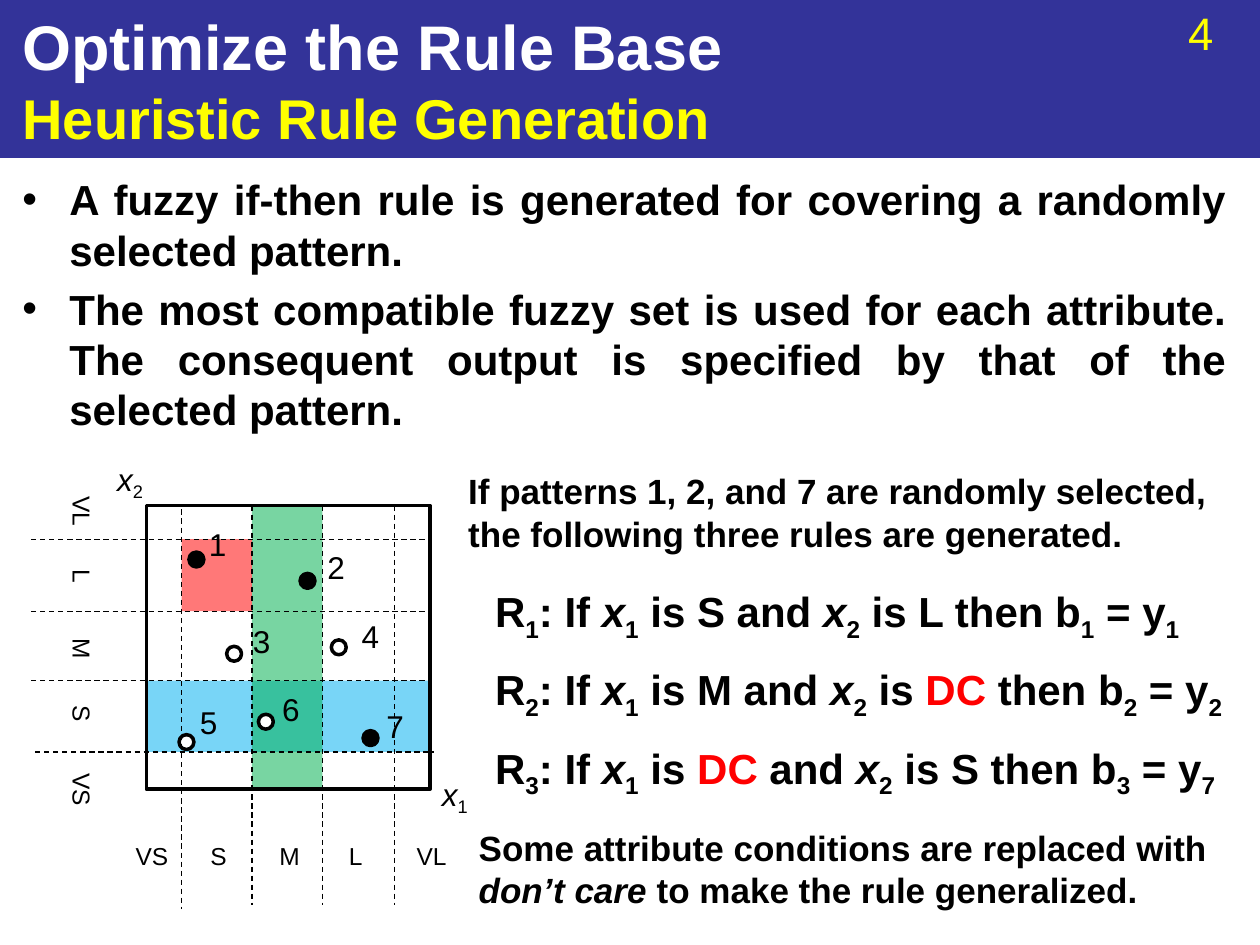
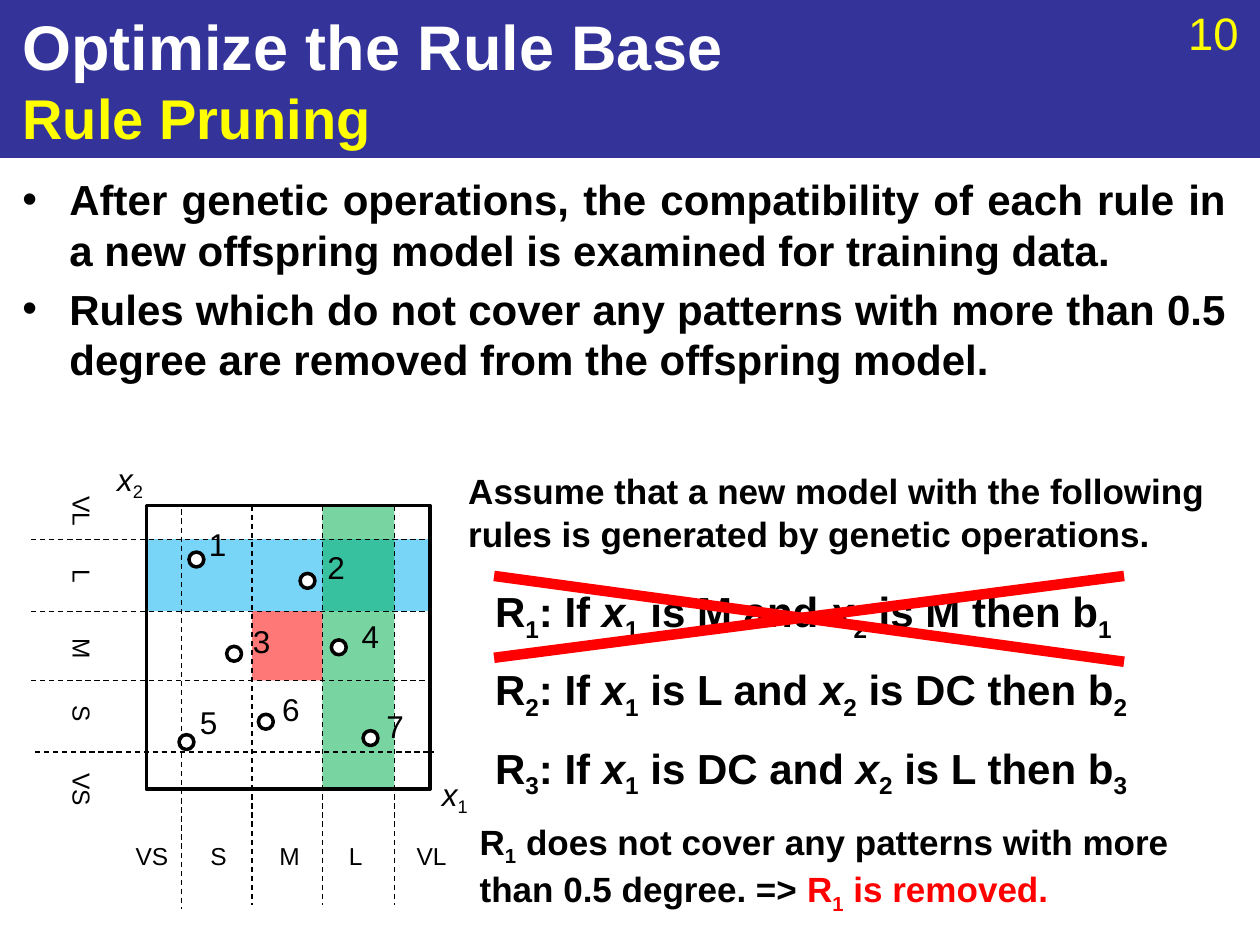
from dataclasses import dataclass
from typing import Iterator, NamedTuple

from lxml.etree import SubElement
from pptx import Presentation
from pptx.dml.color import RGBColor
from pptx.enum.dml import MSO_LINE
from pptx.enum.shapes import MSO_CONNECTOR, MSO_SHAPE
from pptx.enum.text import MSO_ANCHOR, MSO_AUTO_SIZE, PP_ALIGN
from pptx.oxml.ns import qn
from pptx.util import Cm, Pt

FONT = "Arial"
COLOURS = {
    "band": "333399", "white": "FFFFFF", "yellow": "FFFF00", "black": "000000",
    "red": "FF0000", "green": "00B050", "blue": "00B0F0",
}
# Inline marks switch a style on and off
ITALIC, SUBSCRIPT, RED = "*", "~", "|"

# Edges of the five fuzzy sets on each axis, in cm
COLUMN_EDGES = [2.95, 3.66, 5.08, 6.5, 7.95, 8.66]
ROW_EDGES = [10.19, 10.87, 12.32, 13.72, 15.16, 15.9]


class Box(NamedTuple):
    left: float
    top: float
    width: float
    height: float

    def lengths(self) -> list[Cm]:
        return [Cm(value) for value in self]


class FuzzySet(NamedTuple):
    name: str
    width: float
    column_centre: float
    row_centre: float


class Pattern(NamedTuple):
    dot_left: float
    dot_top: float
    label_left: float
    label_top: float


class Patch(NamedTuple):
    """A tinted area between numbered column and row edges."""
    colour: str
    columns: tuple[int, int]
    rows: tuple[int, int]


class Stroke(NamedTuple):
    x1: float
    y1: float
    x2: float
    y2: float


@dataclass
class RulePage:
    number: int
    subtitle: str
    bullets: list[str]
    patches: list[Patch]
    selected: set[int]
    intro: str
    rules: list[str]
    rules_width: float
    closing: str
    closing_box: Box
    strikes: list[Stroke]


FUZZY_SETS = [
    FuzzySet("VS", 1.17, 3.07, 15.93),
    FuzzySet("S", 0.84, 4.41, 14.4),
    FuzzySet("M", 0.91, 5.84, 13.08),
    FuzzySet("L", 0.79, 7.18, 11.63),
    FuzzySet("VL", 1.12, 8.71, 10.31),
]
PATTERNS = [
    Pattern(3.81, 11.13, 3.96, 10.46),
    Pattern(6.05, 11.56, 6.35, 10.92),
    Pattern(4.57, 13.03, 4.85, 12.42),
    Pattern(6.68, 12.9, 7.04, 12.32),
    Pattern(3.61, 14.81, 3.78, 14.05),
    Pattern(5.21, 14.4, 5.44, 13.79),
    Pattern(7.32, 14.73, 7.54, 14.12),
]
PAGES = [
    RulePage(
        number=4,
        subtitle="Heuristic Rule Generation",
        bullets=[
            "A fuzzy if-then rule is generated for covering a randomly selected pattern.",
            "The most compatible fuzzy set is used for each attribute. The consequent "
            "output is specified by that of the selected pattern.",
        ],
        patches=[
            Patch("blue", (0, 5), (3, 4)),
            Patch("green", (2, 3), (0, 5)),
            Patch("red", (1, 2), (1, 2)),
        ],
        selected={1, 2, 7},
        intro="If patterns 1, 2, and 7 are randomly selected, "
              "the following three rules are generated.",
        rules=[
            "R~1~: If *x*~1~ is S and *x*~2~ is L then b~1~ = y~1~",
            "R~2~: If *x*~1~ is M and *x*~2~ is |DC| then b~2~ = y~2~",
            "R~3~: If *x*~1~ is |DC| and *x*~2~ is S then b~3~ = y~7~",
        ],
        rules_width=15.49,
        closing="Some attribute conditions are replaced with "
                "*don’t care *to make the rule generalized.",
        closing_box=Box(9.4, 16.54, 15.49, 1.96),
        strikes=[],
    ),
    RulePage(
        number=10,
        subtitle="Rule Pruning",
        bullets=[
            "After genetic operations, the compatibility of each rule in a new "
            "offspring model is examined for training data.",
            "Rules which do not cover any patterns with more than 0.5 degree are "
            "removed from the offspring model.",
        ],
        patches=[
            Patch("blue", (0, 5), (1, 2)),
            Patch("green", (3, 4), (0, 5)),
            Patch("red", (2, 3), (2, 3)),
        ],
        selected=set(),
        intro="Assume that a new model with the following rules "
              "is generated by genetic operations.",
        rules=[
            "R~1~: If *x*~1~ is M and *x*~2~ is M then b~1~",
            "R~2~: If *x*~1~ is L and *x*~2~ is DC then b~2~",
            "R~3~: If *x*~1~ is DC and *x*~2~ is L then b~3~",
        ],
        rules_width=13.74,
        closing="R~1~ does not cover any patterns with more than 0.5 degree. => "
                "|R~1~ is removed.|",
        closing_box=Box(9.42, 16.41, 14.5, 1.96),
        strikes=[Stroke(9.96, 11.61, 22.66, 13.34), Stroke(9.96, 13.26, 22.66, 11.61)],
    ),
]


def colour(name: str) -> RGBColor:
    return RGBColor.from_string(COLOURS[name])


def format_span(span, size: float, colour_name: str = "black", bold: bool = False) -> None:
    span.font.name = FONT
    span.font.size = Pt(size)
    span.font.bold = bold
    span.font.color.rgb = colour(colour_name)


def split_marks(marked: str) -> Iterator[tuple[str, set[str]]]:
    styles, text = set(), ""
    for character in marked:
        if character not in (ITALIC, SUBSCRIPT, RED):
            text += character
            continue
        if text:
            yield text, styles
        styles, text = styles ^ {character}, ""
    if text:
        yield text, styles


def add_text(page, box: Box, lines: list[str], size: float, colour_name: str = "black",
             bold: bool = False, wrap: bool = False, fit: bool = True):
    shape = page.shapes.add_textbox(*box.lengths())
    frame = shape.text_frame
    frame.word_wrap = wrap
    frame.auto_size = MSO_AUTO_SIZE.SHAPE_TO_FIT_TEXT if fit else MSO_AUTO_SIZE.NONE
    for index, line in enumerate(lines):
        para = frame.add_paragraph() if index else frame.paragraphs[0]
        for text, styles in split_marks(line):
            span = para.add_run()
            span.text = text
            format_span(span, size, "red" if RED in styles else colour_name, bold)
            span.font.italic = ITALIC in styles
            if SUBSCRIPT in styles:
                span.font._element.set("baseline", "-25000")
    return shape


def add_figure(page, kind, box: Box, fill: str = "", line: str = "", weight: float = 2):
    shape = page.shapes.add_shape(kind, *box.lengths())
    shape.shadow.inherit = False
    if fill:
        shape.fill.solid()
        shape.fill.fore_color.rgb = colour(fill)
    else:
        shape.fill.background()
    if line:
        shape.line.color.rgb = colour(line)
        shape.line.width = Pt(weight)
    else:
        shape.line.fill.background()
    return shape


def add_stroke(page, stroke: Stroke, colour_name: str, weight: float, dashed: bool = False) -> None:
    connector = page.shapes.add_connector(MSO_CONNECTOR.STRAIGHT, *[Cm(value) for value in stroke])
    connector.line.color.rgb = colour(colour_name)
    connector.line.width = Pt(weight)
    if dashed:
        connector.line.dash_style = MSO_LINE.DASH
    SubElement(connector._element.spPr, qn("a:effectLst"))


def add_header(page, content: RulePage) -> None:
    add_figure(page, MSO_SHAPE.RECTANGLE, Box(0, 0, 25.4, 3.18), "band", "band", 0.75)
    add_text(page, Box(23.7, -0.03, 1.7, 1.37), [str(content.number)], 26, "yellow", wrap=True)
    title = page.shapes.title
    title.left, title.top, title.width, title.height = Box(0.2, 0, 22.86, 3.18).lengths()
    frame = title.text_frame
    frame.text = f"Optimize the Rule Base\v{content.subtitle}"
    frame.auto_size = MSO_AUTO_SIZE.NONE
    frame.vertical_anchor = MSO_ANCHOR.MIDDLE
    para = frame.paragraphs[0]
    para.alignment = PP_ALIGN.LEFT
    for span, size, name in zip(para.runs, (36, 32), ("white", "yellow")):
        format_span(span, size, name, bold=True)
    # The title lies in front of the band
    page.shapes._spTree.append(title._element)


def add_bullets(page, bullets: list[str]) -> None:
    body = add_text(page, Box(0.2, 3.38, 24.77, 5.92), bullets, 24, bold=True, wrap=True, fit=False)
    for para in body.text_frame.paragraphs:
        para.alignment = PP_ALIGN.JUSTIFY
        para.space_before = Pt(4.8)
        properties = para._p.get_or_add_pPr()
        properties.set("marL", str(Cm(0.95)))
        properties.set("indent", str(Cm(-0.95)))
        SubElement(properties, qn("a:buFont"), typeface=FONT)
        SubElement(properties, qn("a:buChar"), char="•")


def add_patches(page, patches: list[Patch]) -> None:
    for patch in patches:
        left, right = (COLUMN_EDGES[edge] for edge in patch.columns)
        top, bottom = (ROW_EDGES[edge] for edge in patch.rows)
        shape = add_figure(page, MSO_SHAPE.RECTANGLE,
                           Box(left, top, right - left, bottom - top), patch.colour)
        tint = shape._element.spPr.find(qn("a:solidFill"))[0]
        SubElement(tint, qn("a:alpha"), val="53000")


def add_plot(page, selected: set[int]) -> None:
    left, top = COLUMN_EDGES[0], ROW_EDGES[0]
    add_figure(page, MSO_SHAPE.RECTANGLE, Box(left, top, 5.72, 5.72), line="black")

    # Axis names and fuzzy set names
    add_text(page, Box(8.66, 15.49, 1.07, 1.02), ["*x*~1~"], 18)
    add_text(page, Box(2.11, 9.14, 1.07, 1.02), ["*x*~2~"], 18)
    for item in FUZZY_SETS:
        for x, y, turn in ((item.column_centre, 17.25, 0), (1.65, item.row_centre, 90)):
            label = add_text(page, Box(x - item.width / 2, y - 0.43, item.width, 0.86),
                             [item.name], 14)
            label.rotation = turn

    # Numbered patterns
    for number, pattern in enumerate(PATTERNS, start=1):
        add_figure(page, MSO_SHAPE.OVAL, Box(pattern.dot_left, pattern.dot_top, 0.3, 0.3),
                   "black" if number in selected else "white", "black")
        add_text(page, Box(pattern.label_left, pattern.label_top, 0.86, 1.02), [str(number)], 18)

    # Dashed borders between the fuzzy sets
    for y in ROW_EDGES[1:-1]:
        shift = 0.08 if y == ROW_EDGES[-2] else 0
        add_stroke(page, Stroke(0.63 + shift, y, 8.66 + shift, y), "black", 0.75, dashed=True)
    for x in COLUMN_EDGES[1:-1]:
        shift = 0.08 if x == COLUMN_EDGES[1] else 0
        add_stroke(page, Stroke(x, top + shift, x, 18.24 + shift), "black", 0.75, dashed=True)


def add_rules(page, content: RulePage) -> None:
    add_text(page, Box(9.19, 9.35, 16.03, 1.96), [content.intro], 20, bold=True, wrap=True)
    rules = add_text(page, Box(9.73, 11.68, content.rules_width, 4.19), content.rules, 24, bold=True)
    for para in rules.text_frame.paragraphs:
        para.space_after = Pt(12)
    add_text(page, content.closing_box, [content.closing], 20, bold=True, wrap=True)
    for strike in content.strikes:
        add_stroke(page, strike, "red", 6)


def main() -> None:
    deck = Presentation()
    deck.slide_width, deck.slide_height = Cm(25.4), Cm(19.05)
    for content in PAGES:
        page = deck.slides.add_slide(deck.slide_layouts[5])
        add_header(page, content)
        add_patches(page, content.patches)
        add_bullets(page, content.bullets)
        add_plot(page, content.selected)
        add_rules(page, content)
    deck.save("out.pptx")


if __name__ == "__main__":
    main()
